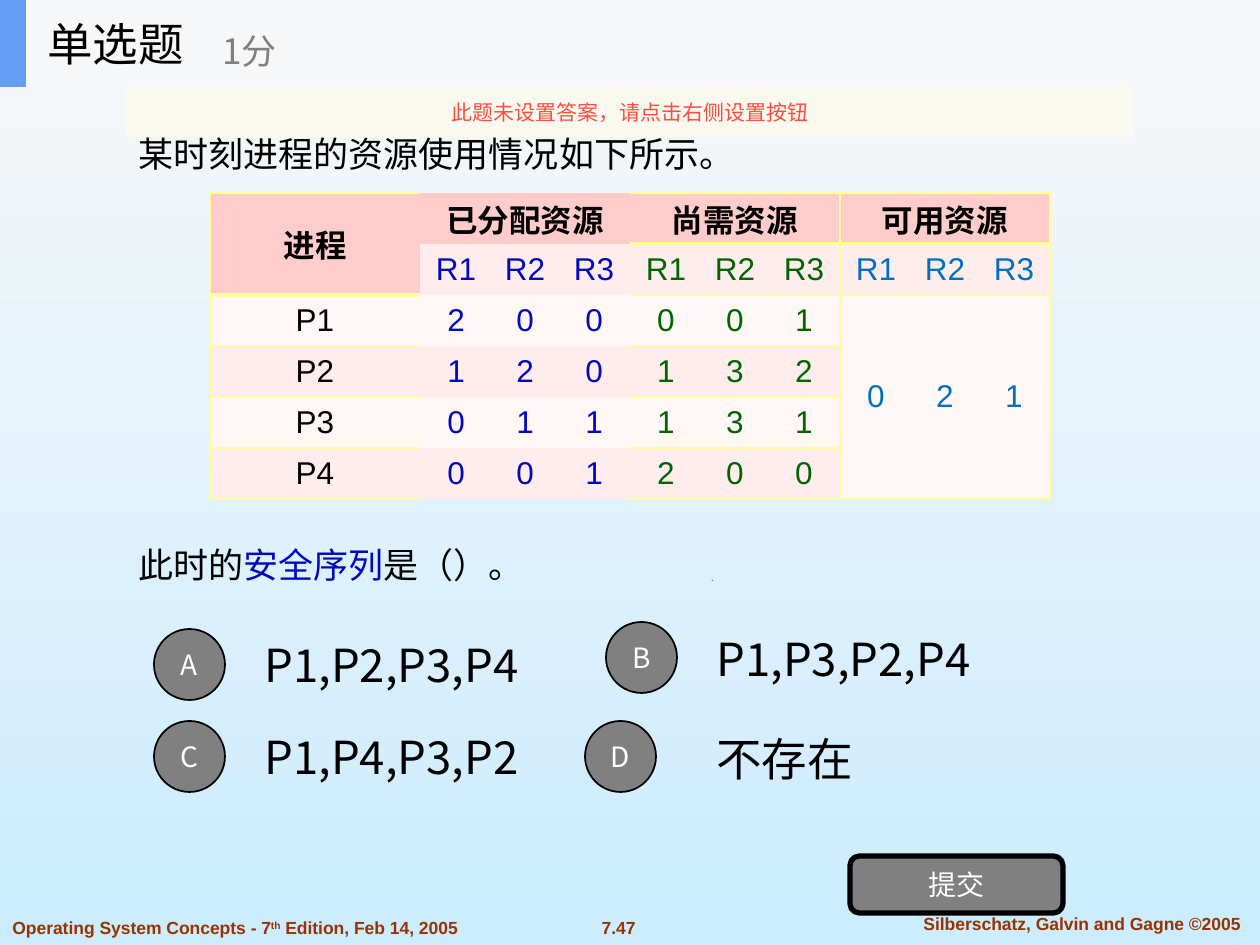
from lxml import etree
from pptx import Presentation
from pptx import util as u
from pptx.dml.color import RGBColor
from pptx.enum import shapes, text
from pptx.oxml import ns

PX = 914400 // 126
SANS, CJK = "Arial", "Noto Sans CJK SC"
BLACK = RGBColor(0, 0, 0)
WHITE = RGBColor(255, 255, 255)
GRAY = RGBColor(0x80, 0x80, 0x80)
BLUE = RGBColor(0x00, 0x09, 0xC0)
GREEN = RGBColor(0x00, 0x66, 0x00)
SKY = RGBColor(0x00, 0x70, 0xC0)
BROWN = RGBColor(0x99, 0x33, 0x00)
RED = RGBColor(0xF8, 0x4F, 0x41)
CREAM = RGBColor(0xFB, 0xFA, 0xEF)
BAR = RGBColor(0xF6, 0xF7, 0xF8)
ACCENT = RGBColor(0x63, 0x9E, 0xF4)
HEAD = RGBColor(0xFF, 0xCC, 0xCC)
BANDS = RGBColor(0xFF, 0xF6, 0xF6), RGBColor(0xFF, 0xEC, 0xEC)
RULE = RGBColor(0xFF, 0xFF, 0x99)
SKY_TOP, SKY_BOTTOM = RGBColor(0xF8, 0xF8, 0xF8), RGBColor(0xCC, 0xEC, 0xFF)
LEFT, CENTER = text.PP_ALIGN.LEFT, text.PP_ALIGN.CENTER
TOP, MIDDLE = text.MSO_ANCHOR.TOP, text.MSO_ANCHOR.MIDDLE

QUESTION = [["某时刻进程的资源使用情况如下所示。"], ["此时的", "安全序列", "是（）。"]]
FOOTERS = [
    (["Operating System Concepts - 7", "th", " Edition, Feb 14, 2005"], (0, 911, 528, 34), LEFT),
    (["7.47"], (585, 911, 67, 34), CENTER),
    (["Silberschatz, Galvin and Gagne ©2005"], (895, 907, 374, 34), CENTER),
]
OPTIONS = [
    ("A", (154, 629), "P1,P2,P3,P4", (252, 620)),
    ("B", (606, 622), "P1,P3,P2,P4", (704, 614)),
    ("C", (154, 721), "P1,P4,P3,P2", (252, 712)),
    ("D", (585, 721), "不存在", (704, 714)),
]
HEADERS = ["进程", "已分配资源", "尚需资源", "可用资源"]
RESOURCES = ["R1", "R2", "R3"]
PROCESSES = [
    ("P1", [2, 0, 0], [0, 0, 1]),
    ("P2", [1, 2, 0], [1, 3, 2]),
    ("P3", [0, 1, 1], [1, 3, 1]),
    ("P4", [0, 0, 1], [2, 0, 0]),
]
AVAILABLE = [0, 2, 1]
COLUMN_COLORS = [BLACK, BLUE, GREEN, SKY]
COLUMN_EDGES = ["LTB", "", "RTB", "LRTB"]
COLUMN, ROW = 210, 51
TAB_STOPS = [36, 105, 174]


def emu(*lengths):
    return [length * PX for length in lengths]


def set_font(paragraph, name, size, color, bold=False):
    font = paragraph.font
    font.name, font.size, font.bold = name, u.Pt(size), bold
    font.color.rgb = color
    if name == CJK:
        props = paragraph._p.pPr.find(ns.qn("a:defRPr"))
        etree.SubElement(props, ns.qn("a:ea"), typeface=name)


def write(shape, paragraphs, name, size, color, align=LEFT, anchor=MIDDLE, bold=False):
    frame = shape.text_frame
    frame.word_wrap, frame.vertical_anchor = True, anchor
    for index, runs in enumerate(paragraphs):
        paragraph = frame.add_paragraph() if index else frame.paragraphs[0]
        paragraph.alignment = align
        set_font(paragraph, name, size, color, bold)
        for run in runs:
            paragraph.add_run().text = run
    return frame.paragraphs


def add_text(box, *args, **kwargs):
    return write(slide.shapes.add_textbox(*emu(*box)), *args, **kwargs)


def add_block(kind, box, fill, line_width=0):
    block = slide.shapes.add_shape(kind, *emu(*box))
    block.shadow.inherit = False
    block.fill.solid()
    block.fill.fore_color.rgb = fill
    if line_width:
        block.line.color.rgb, block.line.width = BLACK, u.Pt(line_width)
    else:
        block.line.fill.background()
    return block


def set_borders(cell, edges, bottom):
    props = cell._tc.get_or_add_tcPr()
    for edge in "LRTB":
        width = u.Pt(bottom if edge == "B" else 1)
        line = etree.SubElement(props, ns.qn("a:ln" + edge), w=str(width))
        if edge in edges:
            fill = etree.SubElement(line, ns.qn("a:solidFill"))
            etree.SubElement(fill, ns.qn("a:srgbClr"), val=str(RULE))
        else:
            etree.SubElement(line, ns.qn("a:noFill"))


def fill_cell(cell, content, row, column):
    heading = row == 0 or (column == 0 and row == 1)
    set_borders(cell, COLUMN_EDGES[column], 3 if heading else 1)
    cell.fill.solid()
    cell.fill.fore_color.rgb = HEAD if heading else BANDS[row % 2]
    cell.vertical_anchor = MIDDLE
    cell.margin_left = cell.margin_right = cell.margin_top = cell.margin_bottom = 0
    paragraph = cell.text_frame.paragraphs[0]
    paragraph.alignment = CENTER
    if isinstance(content, list):
        paragraph.alignment = LEFT
        stops = etree.SubElement(paragraph._p.pPr, ns.qn("a:tabLst"))
        for stop in TAB_STOPS:
            etree.SubElement(stops, ns.qn("a:tab"), pos=str(stop * PX), algn="ctr")
        content = "".join(f"\t{value}" for value in content)
    set_font(paragraph, SANS, 18, BLACK if heading else COLUMN_COLORS[column], heading)
    if content:
        paragraph.add_run().text = content


prs = Presentation()
prs.slide_width, prs.slide_height = emu(1260, 945)
slide = prs.slides.add_slide(prs.slide_layouts[6])
sky = slide.background.fill
sky.gradient()
sky.gradient_angle = 270
for stop, color, position in zip(sky.gradient_stops, (SKY_TOP, SKY_BOTTOM), (0, 1)):
    stop.color.rgb, stop.position = color, position

for runs, box, align in FOOTERS:
    footer = add_text(box, [runs], SANS, 10, BROWN, align, TOP, True)[0]
    if len(runs) > 1:
        footer.runs[1].font._element.set("baseline", "30000")

speck = slide.shapes.build_freeform(712, 581, scale=PX)
speck.add_line_segments([(712, 580), (713, 580)], close=True)
dot = speck.convert_to_shape()
dot.shadow.inherit = False
dot.fill.solid()
dot.fill.fore_color.rgb = BLACK
dot.line.fill.background()

intro, ask = add_text((126, 126, 1008, 481), QUESTION, CJK, 20, BLACK, anchor=TOP)
ask.space_before = u.Pt(211)
ask.runs[1].font.color.rgb = BLUE

for letter, badge_at, answer, answer_at in OPTIONS:
    add_text((*answer_at, 292, 88), [[answer]], CJK, 26, BLACK)
    badge = add_block(shapes.MSO_SHAPE.OVAL, (*badge_at, 71, 71), GRAY, 1)
    write(badge, [[letter]], CJK, 16, WHITE, CENTER)
submit = add_block(shapes.MSO_SHAPE.ROUNDED_RECTANGLE, (850, 856, 213, 57), GRAY, 3)
write(submit, [["提交"]], CJK, 16, WHITE, CENTER)

rows = [HEADERS, [""] + [RESOURCES] * 3]
rows += [[*process, "" if index else AVAILABLE] for index, process in enumerate(PROCESSES)]
size = len(rows), len(HEADERS)
table = slide.shapes.add_table(*size, *emu(210, 193, COLUMN * size[1], ROW * size[0])).table
table.first_row = table.horz_banding = False
for column in table.columns:
    column.width = COLUMN * PX
for r, contents in enumerate(rows):
    table.rows[r].height = ROW * PX
    for c, content in enumerate(contents):
        fill_cell(table.cell(r, c), content, r, c)
table.cell(0, 0).merge(table.cell(1, 0))
table.cell(2, 3).merge(table.cell(5, 3))

add_block(shapes.MSO_SHAPE.RECTANGLE, (0, 0, 1260, 87), BAR)
add_block(shapes.MSO_SHAPE.RECTANGLE, (0, 0, 26, 87), ACCENT)
add_text((35, 0, 262, 87), [["单选题"]], CJK, 26, BLACK)
add_text((210, 15, 315, 71), [["1分"]], CJK, 20, GRAY)
notice = add_block(shapes.MSO_SHAPE.RECTANGLE, (126, 87, 1008, 50), CREAM)
tint = notice._element.spPr.find(ns.qn("a:solidFill"))[0]
etree.SubElement(tint, ns.qn("a:alpha"), val="90000")
write(notice, [["此题未设置答案，请点击右侧设置按钮"]], CJK, 12, RED, CENTER)

prs.save("out.pptx")
